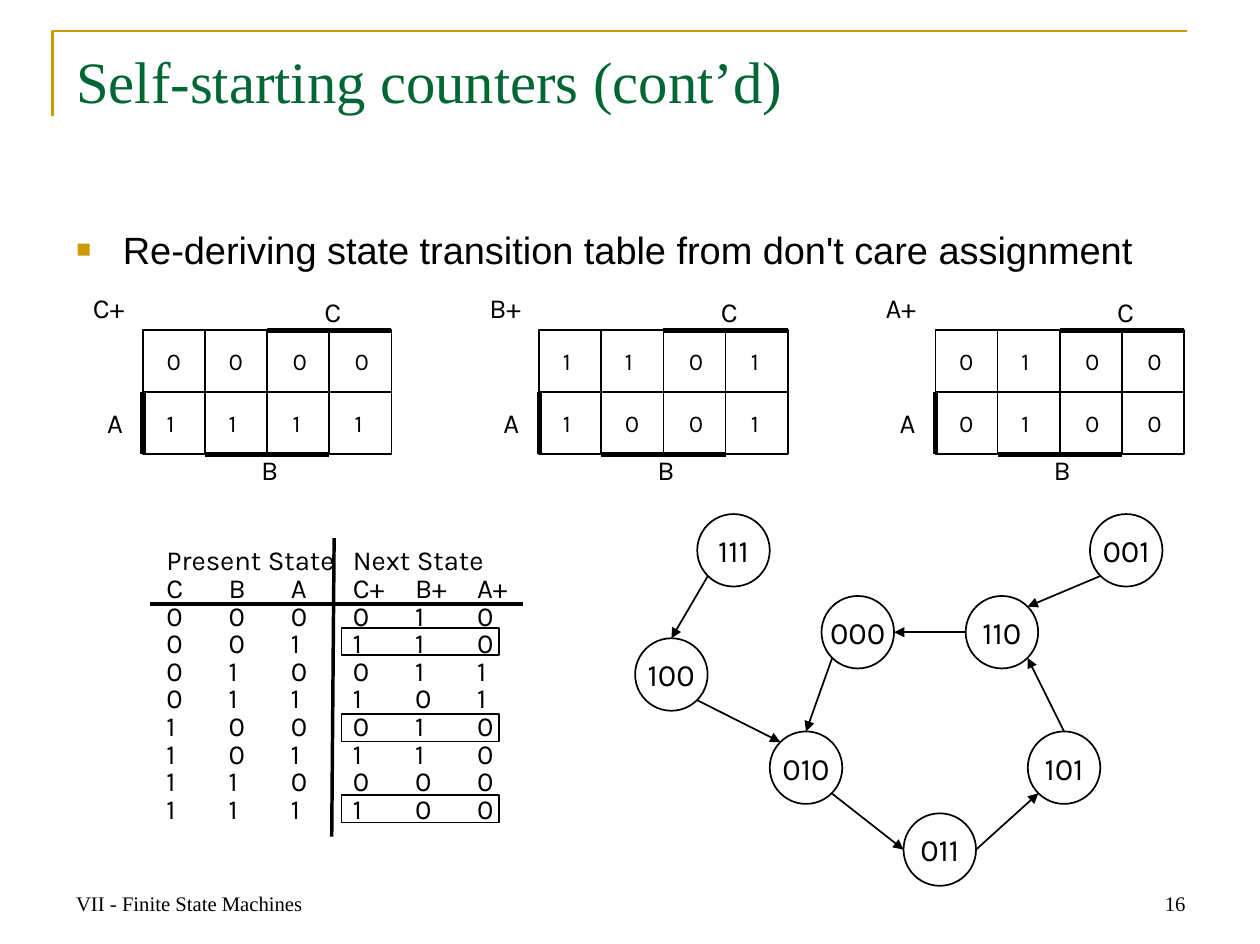
"""Slide on self-starting counters with Karnaugh maps, a state table and a state diagram."""
from math import sqrt

from lxml import etree
from pptx import Presentation
from pptx.dml.color import RGBColor
from pptx.enum import shapes, text
from pptx.oxml import ns
from pptx.util import Pt

COLORS = {"ink": "000000", "title": "006633", "accent": "CC9900"}
TIGHT, ROOMY = (1.5, 2.2), (7.2, 3.6)
CELL = 36
NODE = 42
DIAGONAL = 1 / sqrt(2)
SITES = {
    "N": (0, -1), "W": (-1, 0), "E": (1, 0),
    "NW": (-DIAGONAL, -DIAGONAL), "NE": (DIAGONAL, -DIAGONAL),
    "SW": (-DIAGONAL, DIAGONAL), "SE": (DIAGONAL, DIAGONAL),
}
MAPS = {
    "C+": ("0000", "1111"),
    "B+": ("1101", "1001"),
    "A+": ("0100", "0100"),
}
NEXT_STATES = ["010", "110", "011", "101", "010", "110", "000", "100"]
STATES = {
    "111": (36, 0), "001": (263.5, 0), "000": (108, 47.5), "110": (191.5, 47.5),
    "100": (0, 72), "010": (78, 126), "101": (227.5, 126), "011": (155.5, 173.5),
}
TRANSITIONS = [
    ("000", "SW", "010", "N"), ("010", "SE", "011", "W"),
    ("011", "E", "101", "SW"), ("101", "N", "110", "SE"),
    ("110", "W", "000", "E"), ("001", "SW", "110", "NE"),
    ("111", "SW", "100", "N"), ("100", "SE", "010", "NW"),
]


def color(key):
    """Return the named colour."""
    return RGBColor.from_string(COLORS[key])


def add_child(parent, tag, **attributes):
    """Append a drawing element to its parent."""
    return etree.SubElement(parent, ns.qn(tag), attributes)


def place(part, left, top, width, height):
    """Move a part to a box given in points."""
    part.left, part.top, part.width, part.height = map(Pt, (left, top, width, height))


def write(frame, lines, size, font="Karla", ink="ink", insets=TIGHT, pitch=None, gap=0,
          align=text.PP_ALIGN.LEFT, anchor=text.MSO_ANCHOR.TOP, wrap=False):
    """Fill a text frame with formatted lines, with half-inch tab stops where needed."""
    frame.auto_size = text.MSO_AUTO_SIZE.NONE
    frame.word_wrap = wrap
    frame.vertical_anchor = anchor
    frame.margin_left = frame.margin_right = Pt(insets[0])
    frame.margin_top = frame.margin_bottom = Pt(insets[1])
    frame.text = "\n".join(lines)
    for index, paragraph in enumerate(frame.paragraphs):
        paragraph.alignment = align
        paragraph.space_before = Pt(gap if index else 0)
        if pitch:
            paragraph.line_spacing = Pt(pitch)
        columns = lines[index].count("\t")
        if columns:
            stops = add_child(paragraph._p.get_or_add_pPr(), "a:tabLst")
            for column in range(1, 6):
                add_child(stops, "a:tab", pos=str(Pt(CELL * column)), algn="l")
        for run in paragraph.runs:
            run.font.size = Pt(size)
            run.font.name = font
            run.font.color.rgb = color(ink)


def add_text(slide, box, lines, size, **style):
    """Add a text box."""
    write(slide.shapes.add_textbox(*map(Pt, box)).text_frame, lines, size, **style)


def add_outline(slide, kind, *box):
    """Add an unfilled shape with a thin line."""
    outline = slide.shapes.add_shape(kind, *map(Pt, box))
    outline.shadow.inherit = False
    outline.fill.background()
    outline.line.color.rgb = color("ink")
    outline.line.width = Pt(1)
    return outline


def add_line(slide, start, end, weight=1, arrow=False):
    """Add a straight line, with an arrowhead at its end if asked."""
    line = slide.shapes.add_connector(shapes.MSO_CONNECTOR.STRAIGHT, *map(Pt, start + end))
    line.line.color.rgb = color("ink")
    line.line.width = Pt(weight)
    if arrow:
        add_child(line.line._get_or_add_ln(), "a:tailEnd", type="triangle")
    add_child(line._element.spPr, "a:effectLst")
    return line


def add_heading(slide, left, top, width):
    """Place the corner frame, the title and the bulleted statement."""
    corner = slide.shapes.build_freeform(Pt(left), Pt(top + 49))
    corner.add_line_segments([(Pt(left), Pt(top)), (Pt(left + width), Pt(top))], close=False)
    frame = corner.convert_to_shape()
    frame.shadow.inherit = False
    frame.fill.background()
    frame.line.color.rgb = color("accent")
    frame.line.width = Pt(1.5)

    title, body = slide.shapes.title, slide.placeholders[1]
    place(title, left + 6.5, top + 4.5, width, 90.5)
    write(title.text_frame, ["Self-starting counters (cont’d)"], 34,
          font="Times New Roman", ink="title", insets=ROOMY, wrap=True)
    place(body, left + 6.5, top + 109.5, width, 361.5)
    write(body.text_frame, ["Re-deriving state transition table from don't care assignment"],
          22, font="Arial", insets=ROOMY, wrap=True)
    bullet = body.text_frame.paragraphs[0]._p.get_or_add_pPr()
    bullet.set("marL", str(Pt(27)))
    bullet.set("indent", str(Pt(-27)))
    add_child(add_child(bullet, "a:buClr"), "a:srgbClr", val=COLORS["accent"])
    add_child(bullet, "a:buSzPct", val="65000")
    add_child(bullet, "a:buFont", typeface="Arial")
    add_child(bullet, "a:buChar", char="■")


def add_map(slide, left, top, name, rows):
    """Draw a Karnaugh map of two by four cells."""
    side = 2 * CELL
    middle, bottom = top + CELL, top + side
    halves = []
    for half in range(2):
        x = left + half * side
        add_text(slide, (x + 12.2 + half, top + 5.8, 65, 64),
                 ["\t".join(row[2 * half:2 * half + 2]) for row in rows],
                 14, pitch=18, gap=18)
        square = add_outline(slide, shapes.MSO_SHAPE.RECTANGLE, x, top, side, side)
        column = add_line(slide, (x + CELL, top), (x + CELL, bottom))
        column.begin_connect(square, 0)
        column.end_connect(square, 2)
        divider = add_line(slide, (x + side, middle), (x, middle))
        divider.begin_connect(square, 3)
        divider.end_connect(square, 1)
        halves.append(square)

    add_line(slide, (left + side, top), (left + 2 * side, top), 3)
    b_bar = add_line(slide, (left + CELL, bottom), (left + 3 * CELL, bottom), 3)
    b_bar.begin_connect(halves[0], 2)
    b_bar.end_connect(halves[1], 2)
    add_line(slide, (left, middle), (left, bottom), 3).begin_connect(halves[0], 1)
    for variable, x, y in (("A", -22.3, 44.6), ("B", 67, 72), ("C", 103.7, -19.4)):
        add_text(slide, (left + x, top + y, 46, 26), [variable], 16, pitch=16)
    add_text(slide, (left - 36, top - 26, 36, 26.6), [name], 16, insets=ROOMY)


def add_state_table(slide, left, top):
    """Set out present and next states and frame the formerly unused ones."""
    lines = ["Present State\tNext State", "C\tB\tA\tC+\tB+\tA+"]
    lines += ["\t".join(f"{state:03b}" + following)
              for state, following in enumerate(NEXT_STATES)]
    add_text(slide, (left, top, 213, 166), lines, 16, pitch=16)
    add_line(slide, (left - 8, top + 34), (left + 208, top + 34), 2)
    add_line(slide, (left + 98.6, top - 4), (left + 97.2, top + 169), 2)
    for offset in (48, 98, 145):
        add_outline(slide, shapes.MSO_SHAPE.RECTANGLE, left + 102.8, top + offset, 91.5, 15.8)


def add_state_diagram(slide, left, top):
    """Draw the states as circles and the transitions as arrows."""
    def site(state, side):
        """Return a point on the rim of a state."""
        return tuple(origin + offset + NODE / 2 * (1 + direction) for origin, offset, direction
                     in zip((left, top), STATES[state], SITES[side]))

    for state, (x, y) in STATES.items():
        node = add_outline(slide, shapes.MSO_SHAPE.OVAL, left + x, top + y, NODE, NODE)
        write(node.text_frame, [state], 18, insets=ROOMY,
              align=text.PP_ALIGN.CENTER, anchor=text.MSO_ANCHOR.MIDDLE)
    for source, leaving, target, entering in TRANSITIONS:
        add_line(slide, site(source, leaving), site(target, entering), arrow=True)


def add_footer(slide, left, top, width):
    """Write the chapter at the left and the page number at the right."""
    for x, words, align in ((left, "VII - Finite State Machines", text.PP_ALIGN.LEFT),
                            (left + width - 170.5, "16", text.PP_ALIGN.RIGHT)):
        add_text(slide, (x, top, 170.5, 36.5), [words], 12, font="Times New Roman",
                 insets=ROOMY, align=align, anchor=text.MSO_ANCHOR.BOTTOM, wrap=True)


def main():
    """Build and save the slide."""
    deck = Presentation()
    deck.slide_width, deck.slide_height = Pt(730), Pt(547.2)
    slide = deck.slides.add_slide(deck.slide_layouts[1])
    add_heading(slide, 30.5, 18, 657)
    for index, (name, rows) in enumerate(MAPS.items()):
        add_map(slide, 82.8 + 229.6 * index, 191.4, name, rows)
    add_state_table(slide, 95, 316)
    add_state_diagram(slide, 368, 298)
    add_footer(slide, 37, 498, 657)
    deck.save("out.pptx")


if __name__ == "__main__":
    main()
